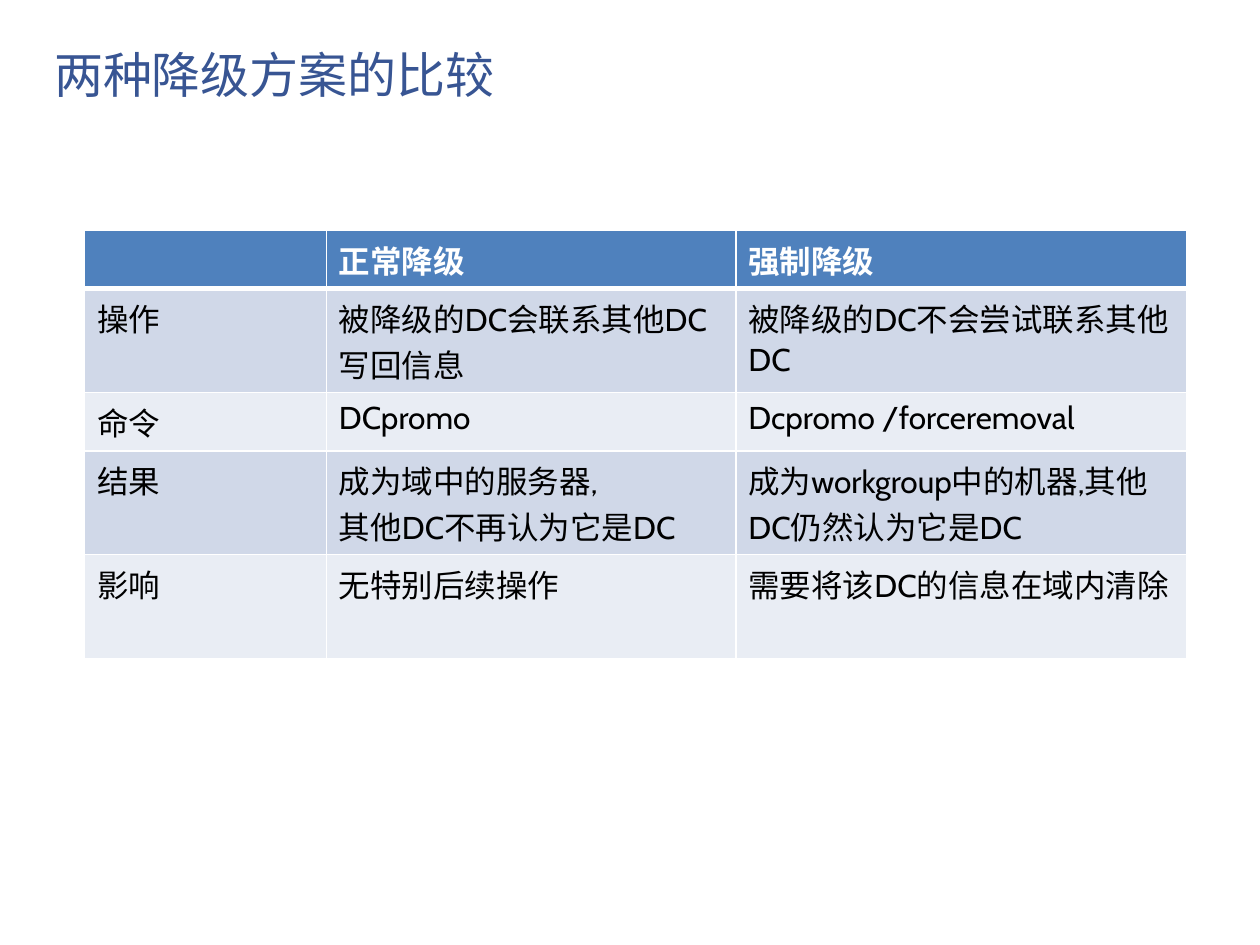
import pptx
import pptx.util
import pptx.dml.color
import pptx.enum.text
import pptx.oxml.ns
import lxml.etree

theme = {
    "font": "Cabin",
    "title": {"size": 28, "color": "385593", "bold": False},
    "head": {"size": 18, "color": "FFFFFF", "bold": True},
    "body": {"size": 18, "color": "000000", "bold": False},
    "fills": {"head": "4F81BD", "odd": "D0D8E8", "even": "E9EDF4"},
    "rule": "FFFFFF",
}
inch = pptx.util.Inches
rgb = pptx.dml.color.RGBColor.from_string
qn = pptx.oxml.ns.qn


def style(frame, look):
    for para in frame.paragraphs:
        para.alignment = pptx.enum.text.PP_ALIGN.LEFT
        font = para.font
        values = {"name": theme["font"], "size": pptx.util.Pt(look["size"]),
                  "bold": look["bold"]}
        for item in [font] + [run.font for run in para.runs]:
            for key, value in values.items():
                setattr(item, key, value)
            item.color.rgb = rgb(look["color"])


def border(cell, widths):
    props = cell._tc.get_or_add_tcPr()
    for spot, (side, width) in enumerate(widths.items()):
        line = lxml.etree.Element(qn("a:ln" + side), w=str(pptx.util.Pt(width)))
        fill = lxml.etree.SubElement(line, qn("a:solidFill"))
        lxml.etree.SubElement(fill, qn("a:srgbClr"), val=theme["rule"])
        props.insert(spot, line)


# Slide
deck = pptx.Presentation()
deck.slide_width, deck.slide_height = inch(10), inch(7.5)
slide = deck.slides.add_slide(deck.slide_layouts[5])

# Title
title = slide.shapes.title
place = {"left": 0.33, "top": 0.25, "width": 9.33, "height": 0.67}
for key, value in place.items():
    setattr(title, key, inch(value))
title.text_frame.text = "两种降级方案的比较"
title.text_frame.vertical_anchor = pptx.enum.text.MSO_ANCHOR.MIDDLE
style(title.text_frame, theme["title"])

# Comparison table
rows = [
    ["", "正常降级", "强制降级"],
    ["操作", "被降级的DC会联系其他DC写回信息", "被降级的DC不会尝试联系其他DC"],
    ["命令", "DCpromo", "Dcpromo /forceremoval"],
    ["结果", "成为域中的服务器,\n其他DC不再认为它是DC".replace(",", ","),
     "成为workgroup中的机器,其他DC仍然认为它是DC".replace(",", ",")],
    ["影响", "无特别后续操作", "需要将该DC的信息在域内清除"],
]
widths = [1.92, 3.25, 3.58]
high = 0.41
table = slide.shapes.add_table(
    len(rows), len(widths), inch(0.67), inch(1.83),
    inch(sum(widths)), inch(high * len(rows))).table
for col, width in zip(table.columns, widths):
    col.width = inch(width)

for r, row in enumerate(rows):
    band = "head" if r == 0 else "odd" if r % 2 else "even"
    table.rows[r].height = inch(0.42 if r == 0 else high)
    for c, text in enumerate(row):
        cell = table.cell(r, c)
        cell.text = text
        cell.fill.solid()
        cell.fill.fore_color.rgb = rgb(theme["fills"][band])
        style(cell.text_frame, theme["body" if r else "head"])
        border(cell, {"L": 1, "R": 1, "T": 3 if r == 1 else 1,
                      "B": 1 if r else 3})

deck.save("out.pptx")
